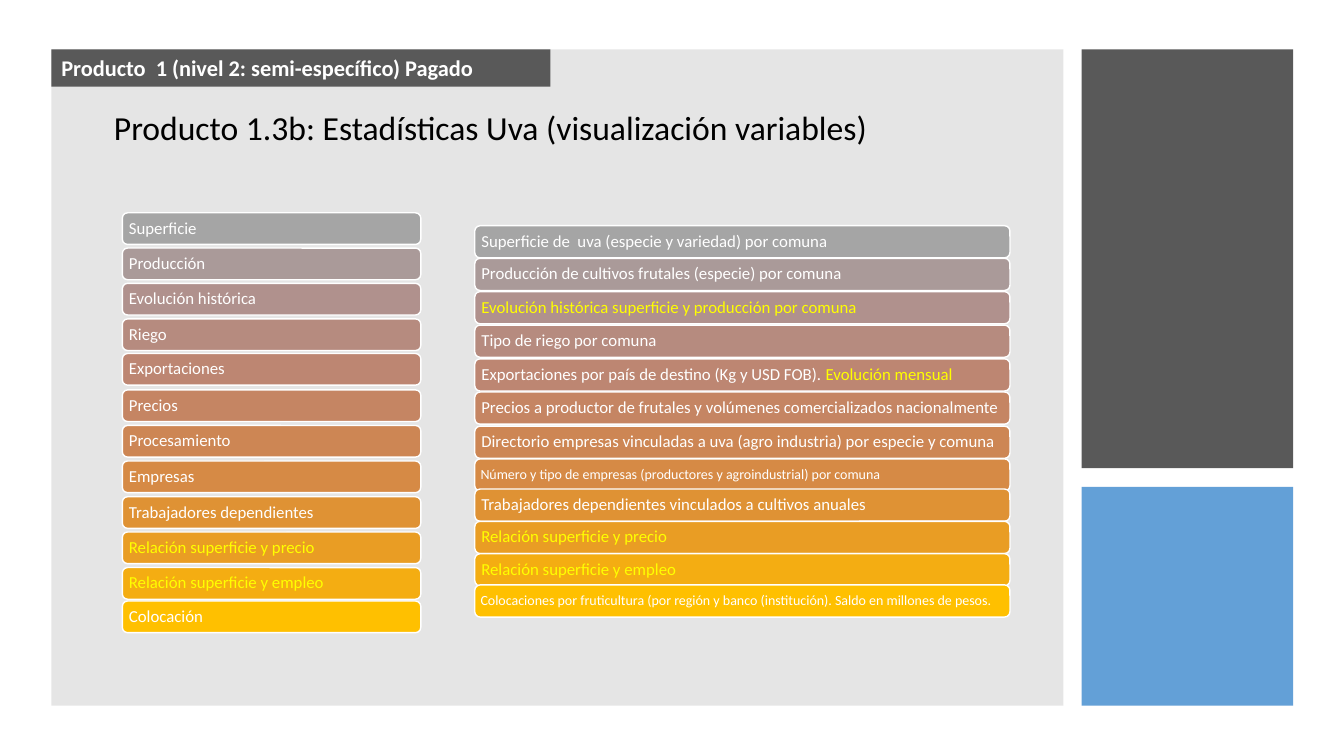
from colorsys import hls_to_rgb, rgb_to_hls
from dataclasses import dataclass

from lxml.etree import SubElement
from pptx import Presentation
from pptx.dml.color import RGBColor
from pptx.enum.shapes import MSO_SHAPE as Shape
from pptx.enum.text import MSO_ANCHOR as Anchor, MSO_AUTO_SIZE as AutoSize, PP_ALIGN as Align
from pptx.oxml.ns import qn
from pptx.util import Pt

HEADER = "Producto  1 (nivel 2: semi-específico) Pagado"
TITLE = "Producto 1.3b: Estadísticas Uva (visualización variables)"

# Each row: top, plain text, highlighted text
TOPICS = [
    (152, "Superficie", ""),
    (177.2, "Producción", ""),
    (202.4, "Evolución histórica", ""),
    (227.8, "Riego", ""),
    (252.5, "Exportaciones", ""),
    (278.5, "Precios", ""),
    (303.9, "Procesamiento", ""),
    (329.3, "Empresas", ""),
    (354.8, "Trabajadores dependientes", ""),
    (380, "", "Relación superficie y precio"),
    (405.4, "", "Relación superficie y empleo"),
    (429.3, "Colocación", ""),
]
VARIABLES = [
    (161.2, "Superficie de  uva (especie y variedad) por comuna", ""),
    (184.5, "Producción de cultivos frutales (especie) por comuna", ""),
    (208.3, "", "Evolución histórica superficie y producción por comuna"),
    (232.2, "Tipo de riego por comuna", ""),
    (256.3, "Exportaciones por país de destino (Kg y USD FOB). ", "Evolución mensual"),
    (280, "Precios a productor de frutales y volúmenes comercializados nacionalmente", ""),
    (304.4, "Directorio empresas vinculadas a uva (agro industria) por especie y comuna", ""),
    (327.8, "Número y tipo de empresas (productores y agroindustrial) por comuna", ""),
    (349.3, "Trabajadores dependientes vinculados a cultivos anuales", ""),
    (372.4, "", "Relación superficie y precio"),
    (395.5, "", "Relación superficie y empleo"),
    (417.8, "Colocaciones por fruticultura (por región y banco (institución). "
            "Saldo en millones de pesos.", ""),
]
SMALL_VARIABLES = {7, 11}

# Left, width, bar height
TOPICS_COLUMN = (87.4, 213.2, 22.6)
VARIABLES_COLUMN = (339.1, 382.3, 23)


@dataclass(frozen=True)
class Theme:
    font: str = "Calibri"
    dark: str = "595959"
    panel: str = "808080"
    blue: str = "5B9BD5"
    white: str = "FFFFFF"
    black: str = "000000"
    highlight: str = "FFFF00"
    first_bar: str = "A5A5A5"
    last_bar: str = "FFC000"
    title_size: float = 24
    header_size: float = 16
    bar_size: float = 12
    small_size: float = 10


THEME = Theme()


def bar_color(share):
    """Blend the first and last bar colours through hue, lightness and saturation."""
    start, end = (rgb_to_hls(*(part / 255 for part in RGBColor.from_string(code)))
                  for code in (THEME.first_bar, THEME.last_bar))
    rgb = hls_to_rgb(*(a + (b - a) * share for a, b in zip(start, end)))
    return RGBColor(*(round(part * 255) for part in rgb))


def add_block(shapes, kind, frame, color, opacity=100):
    block = shapes.add_shape(kind, *(Pt(length) for length in frame))
    block.shadow.inherit = False
    block.fill.solid()
    block.fill.fore_color.rgb = color
    block.line.fill.background()
    if opacity < 100:
        fill = block.fill._xPr.find(qn("a:solidFill"))
        SubElement(fill[0], qn("a:alpha")).set("val", str(opacity * 1000))
    return block


def add_text(para, text, size, color, bold=False):
    span = para.add_run()
    span.text = text
    font = span.font
    font.name, font.size, font.bold = THEME.font, Pt(size), bold
    font.color.rgb = RGBColor.from_string(color)


def add_bars(slide, rows, column, small=()):
    left, width, height = column
    group = slide.shapes.add_group_shape()
    for index, (top, plain, marked) in enumerate(rows):
        bar = add_block(group.shapes, Shape.ROUNDED_RECTANGLE, (left, top, width, height),
                        bar_color(index / (len(rows) - 1)))
        bar.line.color.rgb = RGBColor.from_string(THEME.white)
        bar.line.width = Pt(1)
        size = THEME.small_size if index in small else THEME.bar_size
        box = bar.text_frame
        box.word_wrap = True
        box.vertical_anchor = Anchor.MIDDLE
        inset = Pt(size * 0.3)
        box.margin_left = box.margin_right = box.margin_top = box.margin_bottom = inset
        para = box.paragraphs[0]
        para.alignment = Align.LEFT
        para.line_spacing = 0.9
        for text, color in ((plain, THEME.white), (marked, THEME.highlight)):
            if text:
                add_text(para, text, size, color)


def add_title(slide):
    title = slide.shapes.title
    title.left, title.top, title.width, title.height = Pt(74.2), Pt(72.7), Pt(685.4), Pt(36)
    box = title.text_frame
    box.word_wrap = True
    box.auto_size = AutoSize.NONE
    box.vertical_anchor = Anchor.TOP
    para = box.paragraphs[0]
    para.alignment = Align.LEFT
    add_text(para, TITLE, THEME.title_size, THEME.black)
    slide.shapes._spTree.append(title._element)  # in front of the panel


def add_header(slide):
    header = add_block(slide.shapes, Shape.RECTANGLE, (36.7, 35.3, 356.4, 26.6),
                       RGBColor.from_string(THEME.dark))
    box = header.text_frame
    box.word_wrap = True
    box.vertical_anchor = Anchor.TOP
    para = box.paragraphs[0]
    para.alignment = Align.LEFT
    add_text(para, HEADER, THEME.header_size, THEME.white, bold=True)


def main():
    deck = Presentation()
    deck.slide_width, deck.slide_height = Pt(960), Pt(540)
    slide = deck.slides.add_slide(deck.slide_layouts[5])
    for frame, color, opacity in (
        ((36.7, 35.3, 722.9, 468.7), THEME.panel, 20),
        ((772.6, 35.3, 151.2, 299.2), THEME.dark, 100),
        ((772.6, 347.8, 151.2, 156.2), THEME.blue, 95),
    ):
        add_block(slide.shapes, Shape.RECTANGLE, frame, RGBColor.from_string(color), opacity)
    add_bars(slide, VARIABLES, VARIABLES_COLUMN, SMALL_VARIABLES)
    add_title(slide)
    add_bars(slide, TOPICS, TOPICS_COLUMN)
    add_header(slide)
    deck.save("out.pptx")


if __name__ == "__main__":
    main()
